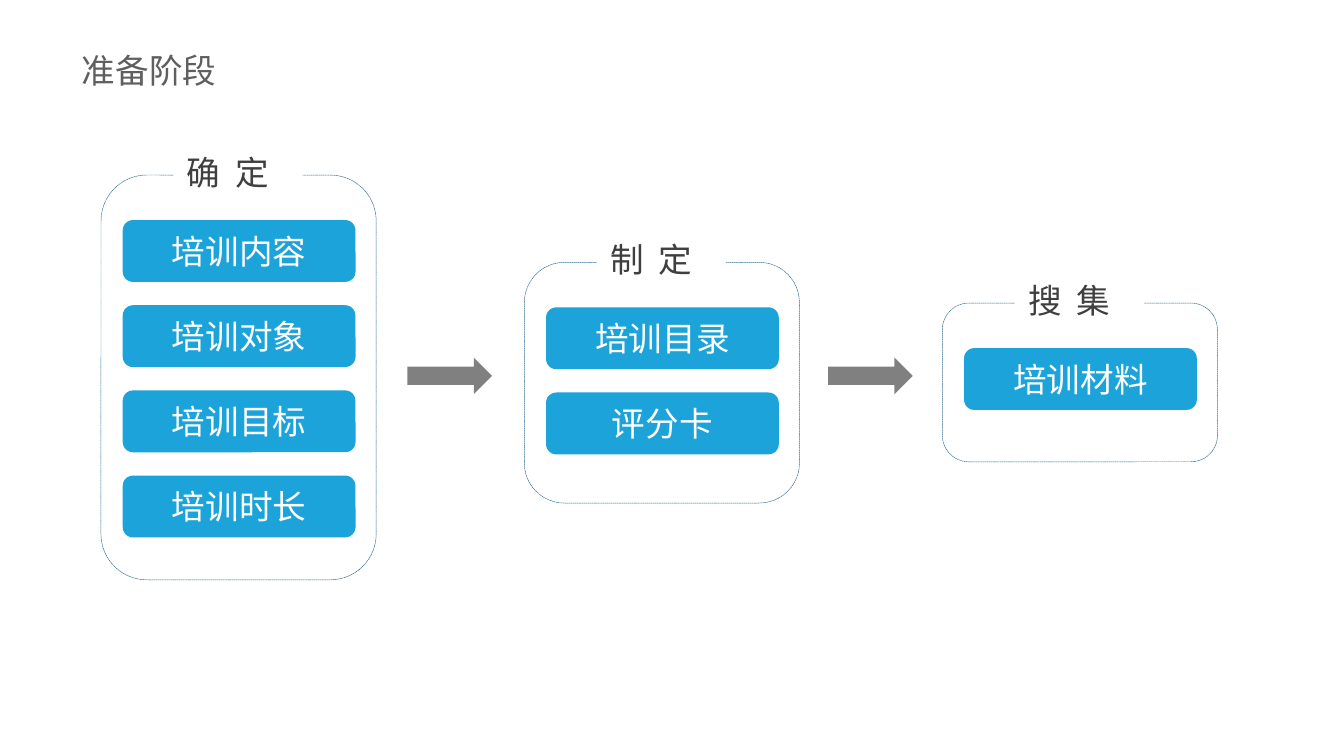
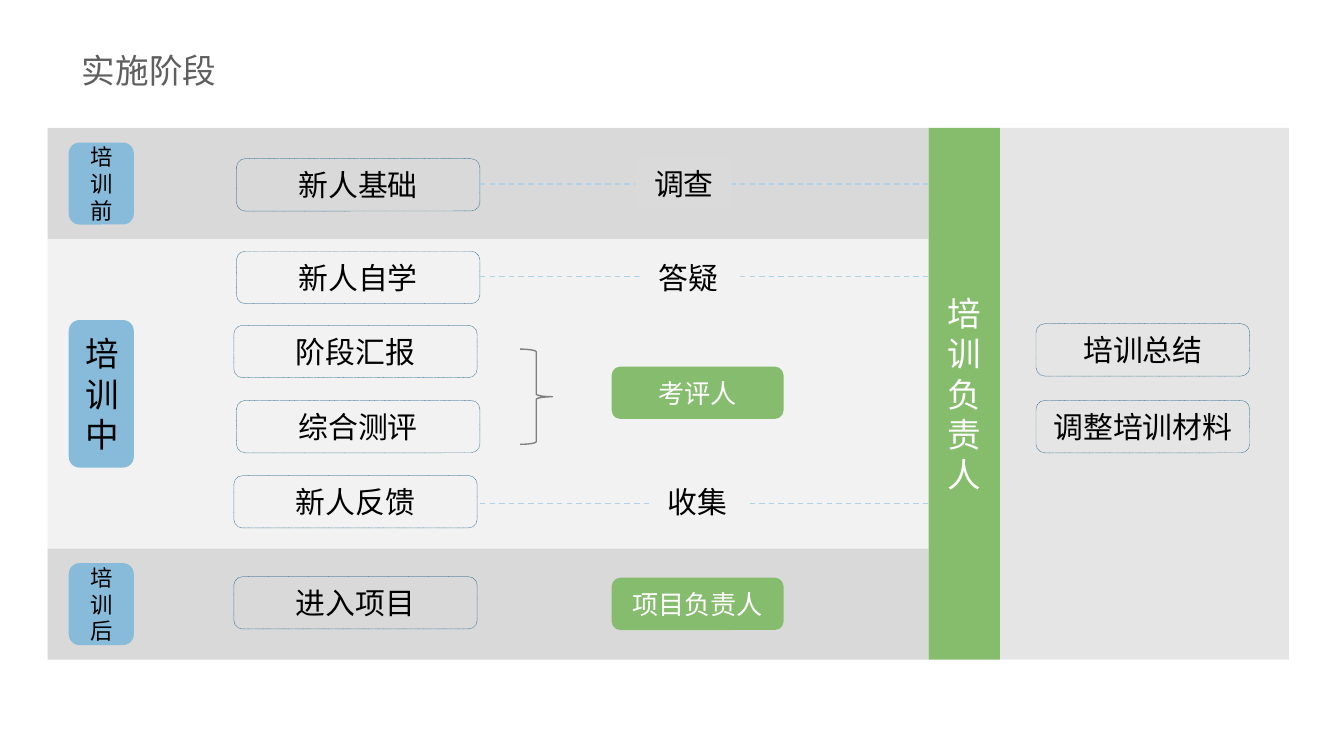
"""Build two slides on the preparation and delivery stages of a training programme."""
import lxml.etree
import pptx
import pptx.dml.color
import pptx.enum.dml
import pptx.enum.shapes
import pptx.enum.text
import pptx.oxml.ns
import pptx.util

Cm = pptx.util.Cm
SHAPE = pptx.enum.shapes.MSO_SHAPE
DASH = pptx.enum.dml.MSO_LINE
ALIGN = pptx.enum.text.PP_ALIGN
ANCHOR = pptx.enum.text.MSO_ANCHOR

COLORS = {
    "title": "5F5F5F", "label": "3F3F3F", "black": "000000", "white": "FFFFFF",
    "button": "1BA3DA", "outline": "2C688D", "arrow": "808080", "brace": "7F7F7F",
    "tag": "88BBDA", "role": "86BC6E", "owner": "86BD6D", "link": "B0D2E6",
    "side": "E5E5E5", "band": "D9D9D9", "band_light": "F2F2F2", "survey": "D9DAD9",
}
CJK_FONT = "Noto Sans CJK SC"


def color(name):
    """Return the named colour."""
    return pptx.dml.color.RGBColor.from_string(COLORS[name])


def write(shape, text, size=18, font=CJK_FONT, ink="black", align=ALIGN.CENTER,
          anchor=ANCHOR.MIDDLE, wrap=True, tracking=0):
    """Put formatted text in a shape."""
    frame = shape.text_frame
    frame.word_wrap = wrap
    frame.vertical_anchor = anchor
    paragraph = frame.paragraphs[0]
    paragraph.alignment = align
    paragraph.line_spacing = pptx.util.Pt(size * 1.2)
    run = paragraph.add_run()
    run.text = text
    run.font.size = pptx.util.Pt(size)
    run.font.name = font
    run.font.color.rgb = color(ink)
    properties = run.font._element
    east_asian = lxml.etree.SubElement(properties, pptx.oxml.ns.qn("a:ea"))
    east_asian.set("typeface", CJK_FONT)
    if tracking:
        properties.set("spc", str(tracking * 100))


class Deck:
    """Hold the shared style and the current slide."""

    def __init__(self):
        """Start an empty widescreen presentation."""
        self.presentation = pptx.Presentation()
        self.presentation.slide_width = Cm(25.4)
        self.presentation.slide_height = Cm(14.29)

    def start_slide(self, title):
        """Add a blank slide with its title."""
        slide = self.presentation.slides.add_slide(self.presentation.slide_layouts[6])
        self.page = self.shapes = slide.shapes
        box = self.shapes.add_textbox(Cm(1.3), Cm(0.74), Cm(19.15), Cm(1.17))
        write(box, title, font="Arial", ink="title", align=ALIGN.LEFT)

    def start_group(self):
        """Send the next shapes to a new group."""
        self.shapes = self.page.add_group_shape().shapes

    def end_group(self):
        """Send the next shapes to the slide itself."""
        self.shapes = self.page

    def shape(self, kind, left, top, width, height, fill=None, line=None,
              weight=0.25, dash=None):
        """Add a flat preset shape."""
        shape = self.shapes.add_shape(kind, Cm(left), Cm(top), Cm(width), Cm(height))
        shape.shadow.inherit = False
        if fill:
            shape.fill.solid()
            shape.fill.fore_color.rgb = color(fill)
        else:
            shape.fill.background()
        if line:
            self.stroke(shape.line, line, weight, dash)
        else:
            shape.line.fill.background()
        return shape

    def stroke(self, line, ink, weight, dash):
        """Format an outline or a connector."""
        line.color.rgb = color(ink)
        line.width = pptx.util.Pt(weight)
        if dash:
            line.dash_style = dash

    def band(self, left, top, width, height, fill):
        """Add a plain rectangle."""
        return self.shape(SHAPE.RECTANGLE, left, top, width, height, fill)

    def block(self, text, left, top, width, height, fill, **text_format):
        """Add a filled rounded box with text."""
        shape = self.shape(SHAPE.ROUNDED_RECTANGLE, left, top, width, height, fill)
        write(shape, text, **text_format)

    def step(self, text, left, top, width=4.6):
        """Add a dotted rounded box with text."""
        shape = self.shape(SHAPE.ROUNDED_RECTANGLE, left, top, width, 0.99,
                           line="outline", dash=DASH.ROUND_DOT)
        write(shape, text, size=16)

    def stage(self, label, items, left, top, height):
        """Add a dashed frame with a label and a column of buttons."""
        self.start_group()
        self.shape(SHAPE.ROUNDED_RECTANGLE, left, top, 5.2, height,
                   line="outline", dash=DASH.SQUARE_DOT)
        for index, item in enumerate(items):
            self.block(item, left + 0.41, top + 0.85 + 1.61 * index, 4.4, 1.17,
                       "button", font="Arial", ink="white")
        plate = self.band(left + 1.37, top - 0.57, 2.44, 1.02, "white")
        write(plate, label, ink="label", align=ALIGN.LEFT, anchor=ANCHOR.TOP,
              wrap=False, tracking=2)
        self.end_group()

    def arrow(self, left):
        """Add a block arrow between stages."""
        self.shape(SHAPE.RIGHT_ARROW, left, 6.76, 1.6, 0.69, "arrow")

    def link(self, left, right, top):
        """Add a dashed horizontal line."""
        connector = self.shapes.add_connector(
            pptx.enum.shapes.MSO_CONNECTOR.STRAIGHT, Cm(left), Cm(top), Cm(right), Cm(top))
        self.stroke(connector.line, "link", 0.75, DASH.DASH)
        lxml.etree.SubElement(connector._element.spPr, pptx.oxml.ns.qn("a:effectLst"))


def build_preparation(deck):
    """Build the preparation slide."""
    deck.start_slide("准备阶段")
    deck.stage("确 定", ["培训内容", "培训对象", "培训目标", "培训时长"], 1.91, 3.31, 7.65)
    deck.stage("制 定", ["培训目录", "评分卡"], 9.91, 4.96, 4.55)
    deck.stage("搜 集", ["培训材料"], 17.81, 5.73, 3)
    for left in (7.7, 15.65):
        deck.arrow(left)


def build_delivery(deck):
    """Build the delivery slide."""
    left, top, owner_left, owner_width = 0.9, 2.42, 17.55, 1.35
    heights = (2.1, 5.85, 2.1)
    side_left = owner_left + owner_width
    deck.start_slide("实施阶段")
    deck.band(side_left, top, 5.46, sum(heights), "side")
    band_top = top
    tags = (("培训前", 1.55, 12), ("培训中", 2.79, 18), ("培训后", 1.55, 12))
    for height, fill, (tag, tag_height, size) in zip(
            heights, ("band", "band_light", "band"), tags):
        deck.band(left, band_top, owner_left - left, height, fill)
        deck.block(tag, 1.3, band_top + (height - tag_height) / 2, 1.23, tag_height,
                   "tag", size=size, font="Arial")
        band_top += height

    deck.start_group()
    for text, step_left, step_top in (
            ("新人基础", 4.47, 3), ("新人自学", 4.47, 4.75), ("阶段汇报", 4.42, 6.15),
            ("综合测评", 4.47, 7.57), ("新人反馈", 4.42, 8.99), ("进入项目", 4.42, 10.9)):
        deck.step(text, step_left, step_top)
    deck.start_group()
    for text, step_top in (("培训总结", 6.12), ("调整培训材料", 7.57)):
        deck.step(text, 19.58, step_top, width=4.04)
    deck.end_group()

    for text, role_top in (("项目负责人", 10.92), ("考评人", 6.93)):
        deck.block(text, 11.56, role_top, 3.25, 0.99, "role", size=14, ink="white")
    owner = deck.band(owner_left, top, owner_width, sum(heights), "owner")
    write(owner, "培训负责人", ink="white")
    deck.shape(SHAPE.RIGHT_BRACE, 9.83, 6.6, 0.61, 1.8, line="brace", weight=0.75)

    for text, label_left, label_top, link_top, fill in (
            ("调查", 12.01, 2.97, 3.48, "survey"),
            ("答疑", 12.09, 4.75, 5.23, "band_light"),
            ("收集", 12.27, 8.99, 9.52, "band_light")):
        deck.link(9.07, owner_left, link_top)
        deck.block(text, label_left, label_top, 1.83, 0.99, fill, size=16)


deck = Deck()
build_preparation(deck)
build_delivery(deck)
deck.presentation.save("out.pptx")
